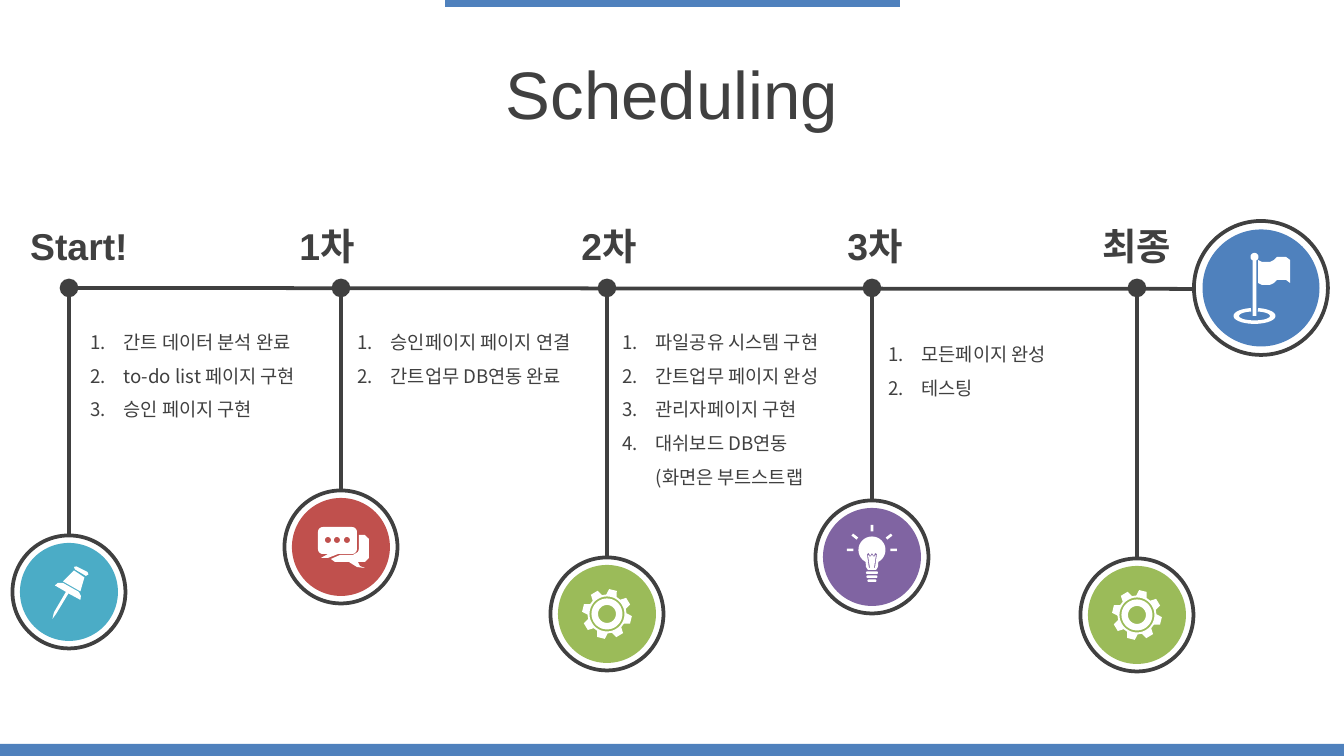
from copy import deepcopy
from dataclasses import dataclass
from math import cos, radians, sin

from lxml.etree import SubElement
from pptx import Presentation
from pptx.dml.color import RGBColor
from pptx.enum.shapes import MSO_CONNECTOR, MSO_SHAPE
from pptx.enum.text import MSO_ANCHOR, PP_ALIGN
from pptx.oxml.ns import qn
from pptx.util import Emu, Pt

PX = 914400 / 134.4
WIDTH, HEIGHT = 1344, 756


@dataclass(frozen=True)
class Theme:
    ink: str = "404040"
    white: str = "FFFFFF"
    blue: str = "4F81BD"
    teal: str = "4BACC6"
    red: str = "C0504D"
    green: str = "9BBB59"
    purple: str = "8064A2"
    latin: str = "Arial"
    korean: str = "Noto Sans CJK KR"
    title: int = 36
    label: int = 20
    body: int = 10
    line: int = 2


THEME = Theme()

TITLE = "Scheduling"
BARS = [(445, 0, 455, 7), (0, 744, WIDTH, 12)]
TIMELINE = (77, 288, 1262, 289)
GOAL = (1261, 288)
# label, label centre, stem x, badge centre y, colour, icon
STAGES = [
    ("Start!", 79, 69, 592, THEME.teal, "pin"),
    ("1차", 327, 341, 547, THEME.red, "chat"),
    ("2차", 609, 607, 614, THEME.green, "gear"),
    ("3차", 875, 872, 557, THEME.purple, "bulb"),
    ("최종", 1137, 1137, 615, THEME.green, "gear"),
]
# left, top, width, tasks
TASK_LISTS = [
    (77, 313, 250, ["간트 데이터 분석 완료", "to-do list 페이지 구현", "승인 페이지 구현"]),
    (344, 313, 262, ["승인페이지 페이지 연결", "간트업무 DB연동 완료"]),
    (609, 313, 263, ["파일공유 시스템 구현", "간트업무 페이지 완성", "관리자페이지 구현",
                     "대쉬보드 DB연동\n(화면은 부트스트랩"]),
    (875, 325, 263, ["모든페이지 완성", "테스팅"]),
]


def arc(x, y, rx, ry=None, start=0, sweep=360, steps=36):
    """Points on an ellipse, clockwise from the right for a positive sweep."""
    angles = [radians(start + sweep * i / steps) for i in range(steps + 1)]
    return [(x + rx * cos(a), y + (ry or rx) * sin(a)) for a in angles]


def rounded(left, top, right, bottom, r):
    corners = [(right - r, bottom - r), (left + r, bottom - r),
               (left + r, top + r), (right - r, top + r)]
    return [point for i, (x, y) in enumerate(corners)
            for point in arc(x, y, r, start=90 * i, sweep=90, steps=6)]


def gear():
    teeth = []
    for i in range(8):
        for radius, offset in ((19.5, -16), (25, -9), (25, 9), (19.5, 16)):
            angle = radians(45 * i - 76 + offset)
            teeth.append((radius * cos(angle), radius * sin(angle)))
    return [teeth] + [arc(0, 0, radius) for radius in (17.5, 15.5, 9)]


def bulb():
    glass = arc(0, -7, 13.5, start=118, sweep=304) + [(6, 10), (4, 13), (-4, 13), (-6, 10)]
    filament = [(-5, -3), (-3, -4), (-2, -1), (0, -4), (2, -1), (3, -4), (5, -3),
                (3, 11), (2, 11), (4, -2), (2, 0), (0, -2), (-2, 0), (-4, -2),
                (-2, 11), (-3, 11)]
    bases = [rounded(-w, y, w, y + 2.5, 1.2) for w, y in ((6, 14.5), (5.5, 18.5), (4.5, 22.5))]
    rays = []
    for angle in (180, 218, 270, 322, 360):
        x, y = cos(radians(angle)), sin(radians(angle))
        rays.append([(r * x - w * y, r * y + w * x - 7)
                     for r, w in ((18.5, -1.3), (25, -1.3), (25, 1.3), (18.5, 1.3))])
    return [glass, filament, *bases, *rays]


ICONS = {
    "gear": gear(),
    "bulb": bulb(),
    "pin": [
        [(-6, -9), (10, 0), (12, 4), (11.5, 8), (-0.5, 1.5), (-12.5, 21.5), (-16.5, 27),
         (-15, 20.5), (-3, 0), (-14, -6.5), (-11, -9)],
        [(5, -21.5), (15.5, -14.5), (11.5, -0.5), (-6, -10.5)],
        [(7.5, -25.5), (18.5, -20), (19.5, -17.5), (17, -16), (6, -22.5), (5, -25)],
    ],
    "chat": [
        rounded(-23, -20, 16, 7, 5),
        [(-13, 7), (-20, 11), (-13, 11), (-3, 7)],
        [(18, -12), (24, -12), (28, -8), (28, 11), (24, 15), (17, 15), (19, 19), (24, 21),
         (16, 20), (8, 15), (-6, 15), (-10, 12), (-1, 8), (12, 8), (17, 5), (18, 2)],
        *[arc(x, -7, 3) for x in (-13, -4, 6)],
    ],
    "flag": [
        arc(-6.5, -31, 4),
        [(-8.5, -27), (-4.5, -27), (-4.5, 28), (-8.5, 28)],
        arc(-6.5, 28, 21, 8, -80, 340) + arc(-6.5, 28, 15.5, 4.5, 258, -336),
        [(-3, -28), (1, -26), (9, -26), (13, -28), (16, -31), (25, -31), (29, -28),
         (29, -5), (25, -8), (16, -8), (13, -5), (9, -3), (1, -3), (-3, -5)],
    ],
}


def px(*values):
    return [Emu(round(value * PX)) for value in values]


def color(value):
    return RGBColor.from_string(value)


def paint(shape, fill, line=None):
    shape.shadow.inherit = False
    shape.fill.solid()
    shape.fill.fore_color.rgb = color(fill)
    if line:
        shape.line.color.rgb = color(line)
        shape.line.width = Pt(THEME.line)
    else:
        shape.line.fill.background()


def add_text(shapes, box, paragraphs, *, size, font=THEME.latin, bold=False,
             align=PP_ALIGN.CENTER, anchor=MSO_ANCHOR.MIDDLE, numbered=False):
    frame = shapes.add_textbox(*px(*box)).text_frame
    frame.word_wrap = True
    frame.vertical_anchor = anchor
    for i, text in enumerate(paragraphs):
        paragraph = frame.add_paragraph() if i else frame.paragraphs[0]
        paragraph.alignment = align
        paragraph.text = text.replace("\n", "\v")
        for run in paragraph.runs:
            run.font.size, run.font.bold, run.font.name = Pt(size), bold, font
            run.font.color.rgb = color(THEME.ink)
            SubElement(run.font._element, qn("a:ea"), typeface=THEME.korean)
        for line_break in paragraph._p.findall(qn("a:br")):
            line_break.append(deepcopy(paragraph.runs[0].font._element))
        if numbered:
            paragraph.line_spacing = 1.5
            properties = paragraph._p.get_or_add_pPr()
            properties.set("marL", "228600")
            properties.set("indent", "-228600")
            SubElement(properties, qn("a:buFont"), typeface="+mj-lt")
            SubElement(properties, qn("a:buAutoNum"), type="arabicPeriod")


def add_line(shapes, ends, dot=False):
    connector = shapes.add_connector(MSO_CONNECTOR.STRAIGHT, *px(*ends))
    connector.line.color.rgb = color(THEME.ink)
    connector.line.width = Pt(THEME.line)
    if dot:
        SubElement(connector.line._get_or_add_ln(), qn("a:headEnd"),
                   type="oval", w="lg", len="lg")
    SubElement(connector._element.spPr, qn("a:effectLst"))


def add_badge(shapes, x, y, fill, icon, outer=113, inner=98):
    for size, paints in ((outer, (THEME.white, THEME.ink)), (inner, (fill,))):
        box = px(x - size / 2, y - size / 2, size, size)
        paint(shapes.add_shape(MSO_SHAPE.OVAL, *box), *paints)
    contours = [[px(x + dx, y + dy) for dx, dy in contour] for contour in ICONS[icon]]
    builder = shapes.build_freeform(*contours[0][0])
    for i, contour in enumerate(contours):
        if i:
            builder.move_to(*contour[0])
        builder.add_line_segments(contour[1:], close=True)
    paint(builder.convert_to_shape(), THEME.white)


def main():
    presentation = Presentation()
    presentation.slide_width, presentation.slide_height = px(WIDTH, HEIGHT)
    slide = presentation.slides.add_slide(presentation.slide_layouts[6])
    shapes = slide.shapes

    for bar in BARS:
        paint(shapes.add_shape(MSO_SHAPE.RECTANGLE, *px(*bar)), THEME.blue)
    add_text(shapes, (0, 50, WIDTH, 85), [TITLE], size=THEME.title)

    add_line(shapes, TIMELINE)
    for label, label_x, x, y, fill, icon in STAGES:
        add_text(shapes, (label_x - 78, 214, 156, 63), [label], size=THEME.label, bold=True)
        add_line(shapes, (x, TIMELINE[1], x, y - 49), dot=True)
        add_badge(shapes, x, y, fill, icon)
    add_badge(shapes, *GOAL, THEME.blue, "flag", outer=134, inner=117)

    for left, top, width, tasks in TASK_LISTS:
        rows = sum(task.count("\n") + 1 for task in tasks)
        add_text(shapes, (left, top, width, 14 + 34 * rows), tasks, size=THEME.body,
                 font=THEME.korean, align=PP_ALIGN.LEFT, anchor=MSO_ANCHOR.TOP, numbered=True)

    presentation.save("out.pptx")


if __name__ == "__main__":
    main()
